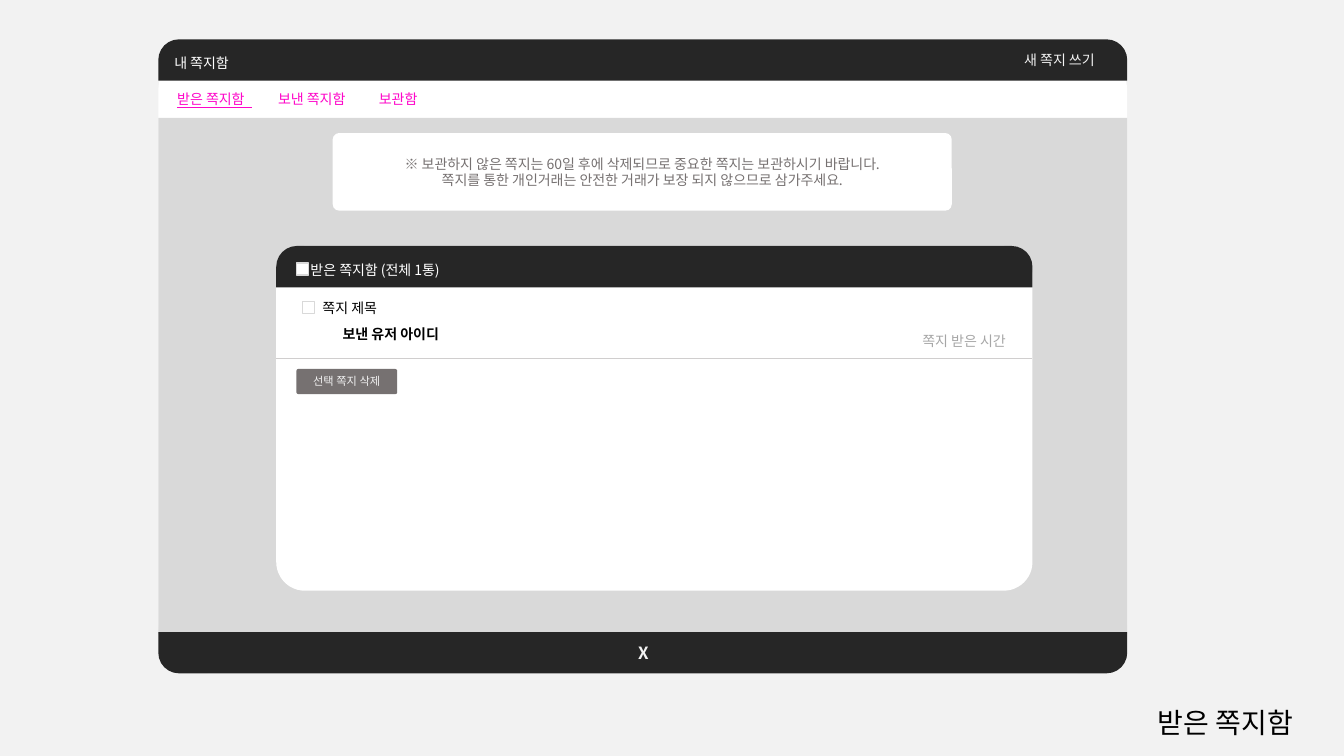
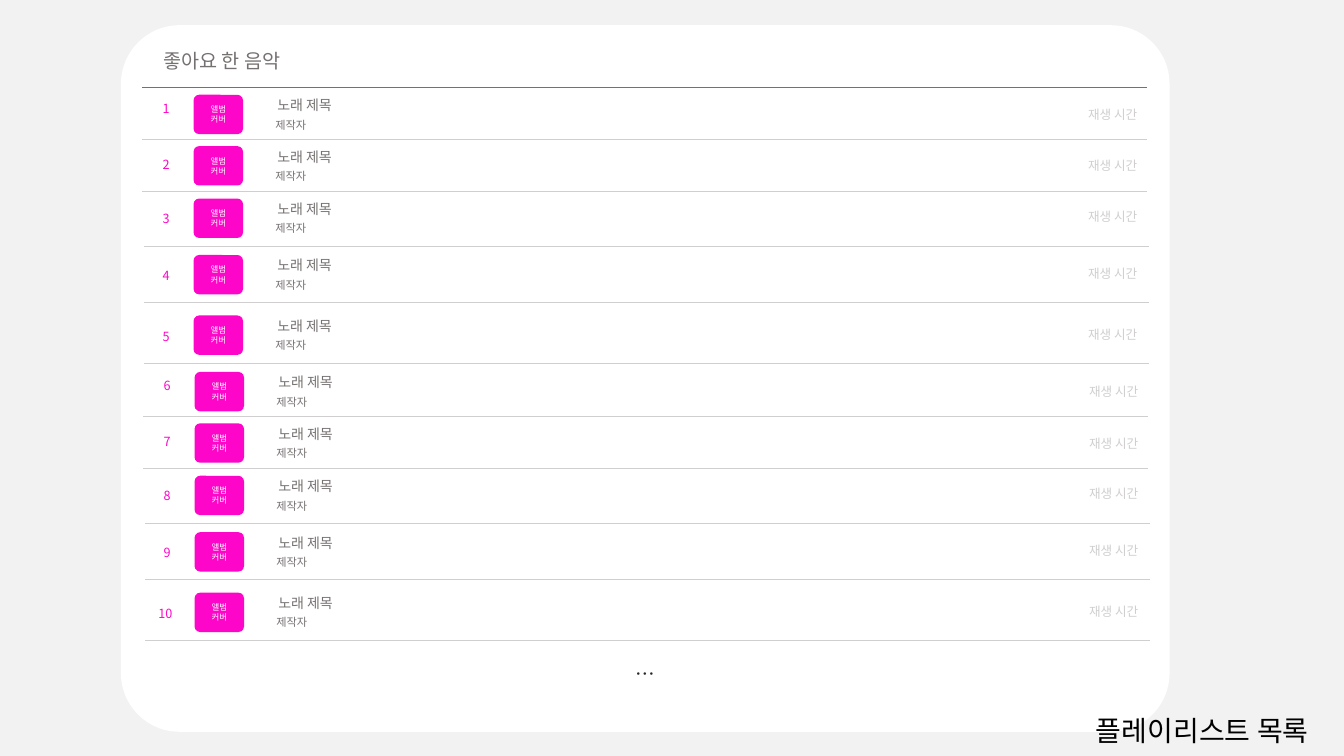
from dataclasses import dataclass
from typing import NamedTuple, Optional

import pptx
import pptx.dml.color
import pptx.enum.shapes
import pptx.enum.text
import pptx.oxml
import pptx.oxml.ns
import pptx.presentation
import pptx.shapes.autoshape
import pptx.slide
import pptx.text.text
import pptx.util

Inches = pptx.util.Inches
Pt = pptx.util.Pt
Slide = pptx.slide.Slide
Kind = pptx.enum.shapes.MSO_SHAPE
Align = pptx.enum.text.PP_ALIGN
Anchor = pptx.enum.text.MSO_ANCHOR
Fit = pptx.enum.text.MSO_AUTO_SIZE


# Shared look
@dataclass(frozen=True)
class Theme:
    font: str = "Noto Sans CJK KR"
    page: str = "F2F2F2"
    white: str = "FFFFFF"
    black: str = "000000"
    dark: str = "262626"
    gray: str = "767171"
    silver: str = "D9D9D9"
    pale: str = "A6A6A6"
    rule: str = "D0CECE"
    pink: str = "FE06C9"
    title: float = 20
    head: float = 14
    close: float = 12
    body: float = 10
    label: float = 9
    small: float = 8
    tiny: float = 6
    hair: float = 0.5
    curve: float = 0.083


THEME = Theme()


class Box(NamedTuple):
    left: float
    top: float
    width: float
    height: float


@dataclass(frozen=True)
class Type:
    size: float
    color: str
    bold: bool = False
    align: Align = Align.LEFT


@dataclass(frozen=True)
class Label:
    box: Box
    text: str
    style: Type


@dataclass(frozen=True)
class Song:
    cover: float
    number: float
    time: float
    rule: float
    edge: float


# Drawing helpers
def tint(color: str) -> pptx.dml.color.RGBColor:
    return pptx.dml.color.RGBColor.from_string(color)


def write(frame: pptx.text.text.TextFrame, text: str, style: Type) -> None:
    frame.word_wrap = True
    look = {"name": THEME.font, "size": Pt(style.size), "bold": style.bold}
    for index, line in enumerate(text.split("\n")):
        para = frame.add_paragraph() if index else frame.paragraphs[0]
        para.alignment = style.align
        run = para.add_run()
        run.text = line
        for key, value in look.items():
            setattr(run.font, key, value)
        run.font.color.rgb = tint(style.color)
        east = pptx.oxml.parse_xml(
            f'<a:ea {pptx.oxml.ns.nsdecls("a")} typeface="{THEME.font}"/>')
        run.font._element.append(east)


def draw_text(slide: Slide, label: Label) -> None:
    shape = slide.shapes.add_textbox(*map(Inches, label.box))
    write(shape.text_frame, label.text, label.style)
    shape.text_frame.auto_size = Fit.SHAPE_TO_FIT_TEXT


def draw_shape(slide: Slide, kind: Kind, box: Box, fill: str,
               curves: tuple[float, ...] = (),
               line: Optional[str] = None) -> pptx.shapes.autoshape.Shape:
    shape = slide.shapes.add_shape(kind, *map(Inches, box))
    shape.shadow.inherit = False
    shape.fill.solid()
    shape.fill.fore_color.rgb = tint(fill)
    for index, value in enumerate(curves):
        shape.adjustments[index] = value
    if line:
        shape.line.color.rgb = tint(line)
        shape.line.width = Pt(1)
    else:
        shape.line.fill.background()
    return shape


def draw_card(slide: Slide, box: Box, fill: str, curve: float = THEME.curve,
              text: str = "", style: Optional[Type] = None
              ) -> pptx.shapes.autoshape.Shape:
    shape = draw_shape(slide, Kind.ROUNDED_RECTANGLE, box, fill, (curve,))
    if style:
        write(shape.text_frame, text, style)
        shape.text_frame.vertical_anchor = Anchor.MIDDLE
    return shape


def draw_band(slide: Slide, box: Box, curves: tuple[float, float],
              text: str = "", inset: float = 0.1) -> None:
    shape = draw_shape(slide, Kind.ROUND_2_SAME_RECTANGLE, box, THEME.dark, curves)
    if text:
        frame = shape.text_frame
        write(frame, text, Type(THEME.body, THEME.white))
        frame.vertical_anchor = Anchor.MIDDLE
        frame.margin_left = Inches(inset)


def draw_rule(slide: Slide, left: float, top: float, width: float, color: str) -> None:
    line = slide.shapes.add_connector(
        pptx.enum.shapes.MSO_CONNECTOR.STRAIGHT,
        *map(Inches, (left, top, left + width, top)))
    line.line.color.rgb = tint(color)
    line.line.width = Pt(THEME.hair)
    line._element.spPr.append(pptx.oxml.parse_xml(
        f'<a:effectLst {pptx.oxml.ns.nsdecls("a")}/>'))


def add_page(deck: pptx.presentation.Presentation) -> Slide:
    slide = deck.slides.add_slide(deck.slide_layouts[6])
    slide.background.fill.solid()
    slide.background.fill.fore_color.rgb = tint(THEME.page)
    return slide


def draw_title(slide: Slide, box: Box, text: str) -> None:
    draw_text(slide, Label(box, text, Type(THEME.title, THEME.black, align=Align.CENTER)))


# Inbox slide
def build_inbox(deck: pptx.presentation.Presentation) -> None:
    slide = add_page(deck)
    left, width, band = 1.57, 9.61, 0.41
    inner, span, top = 2.74, 7.5, 2.44
    mid = Align.CENTER
    draw_title(slide, Box(10.7, 6.95, 2.91, 0.44), "받은 쪽지함")

    # Window
    draw_card(slide, Box(left, 0.39, width, 6.29), THEME.white)
    draw_band(slide, Box(left, 0.39, width, band), (0.5, 0), "내 쪽지함")
    draw_card(slide, Box(left, 1.17, width, 5.12), THEME.silver, 0)
    draw_card(slide, Box(3.3, 1.32, 6.14, 0.77), THEME.white,
              text="※ 보관하지 않은 쪽지는 60일 후에 삭제되므로 중요한 쪽지는 보관하시기 바랍니다.\n"
                   "쪽지를 통한 개인거래는 안전한 거래가 보장 되지 않으므로 삼가주세요.",
              style=Type(THEME.body, THEME.gray, align=mid))
    draw_band(slide, Box(left, 6.27, width, band), (0, 0.5))

    # Message list
    draw_card(slide, Box(inner, top, span, 3.42), THEME.white)
    draw_band(slide, Box(inner, top, span, band), (0.5, 0),
              "받은 쪽지함 (전체 1통)", 0.28)
    draw_rule(slide, inner, 3.56, span, THEME.rule)
    for x, y in ((2.94, 2.61), (3, 2.99)):
        draw_shape(slide, Kind.RECTANGLE, Box(x, y, 0.12, 0.12), THEME.white,
                   line=THEME.silver)
    draw_card(slide, Box(2.94, 3.66, 1, 0.25), THEME.gray, text="선택 쪽지 삭제",
              style=Type(THEME.small, THEME.page, align=mid))

    # Labels
    draw_rule(slide, 1.76, 1.07, 0.74, THEME.pink)
    size = THEME.body
    for label in (
        Label(Box(1.66, 0.85, 6, 0.27), "받은 쪽지함\t보낸 쪽지함\t보관함",
              Type(size, THEME.pink)),
        Label(Box(10.06, 0.46, 1.29, 0.27), "새 쪽지 쓰기", Type(size, THEME.page)),
        Label(Box(3.1, 2.92, 0.85, 0.27), "쪽지 제목", Type(size, THEME.black)),
        Label(Box(3.3, 3.18, 1.37, 0.27), "보낸 유저 아이디",
              Type(size, THEME.black, True)),
        Label(Box(9.05, 3.25, 1.25, 0.27), "쪽지 받은 시간", Type(size, THEME.pale)),
        Label(Box(6.23, 6.33, 0.28, 0.3), "X", Type(THEME.close, THEME.page, True)),
    ):
        draw_text(slide, label)


# Playlist slide: two blocks of five songs
SONGS = (
    Song(0.94, 0.95, 1.01, 1.38, 1.41),
    Song(1.45, 1.51, 1.52, 1.9, 1.41),
    Song(1.97, 2.04, 2.02, 2.44, 1.43),
    Song(2.53, 2.61, 2.59, 3, 1.43),
    Song(3.13, 3.21, 3.19, 3.6, 1.43),
)
BLOCK = (0.01, 2.75)
SPAN = 9.97


def draw_song(slide: Slide, song: Song, rank: int, dx: float, dy: float) -> None:
    mid = Align.CENTER
    cover, top = 1.92 + dx, song.cover + dy
    wide = 0.38 if rank > 9 else 0.23
    draw_rule(slide, song.edge + dx, song.rule + dy, SPAN, THEME.rule)
    draw_card(slide, Box(cover, top, 0.49, 0.39), THEME.pink, 0.14,
              "앨범 커버", Type(THEME.tiny, THEME.white, align=mid))
    for box, text, size, color in (
        (Box(1.63 + dx - wide / 2, song.number + dy, wide, 0.25),
         str(rank), THEME.label, THEME.pink),
        (Box(cover + 0.66, top - 0.03, 0.88, 0.27), "노래 제목", THEME.body, THEME.gray),
        (Box(cover + 0.63, top + 0.18, 0.67, 0.24), "제작자", THEME.small, THEME.gray),
        (Box(10.66 + dx, song.time + dy, 0.75, 0.25),
         "재생 시간", THEME.label, THEME.rule),
    ):
        draw_text(slide, Label(box, text, Type(size, color, align=mid)))


def build_list(deck: pptx.presentation.Presentation) -> None:
    slide = add_page(deck)
    mid = Align.CENTER
    panel = draw_card(slide, Box(1.2, 0.25, 10.4, 7.01), THEME.white, text="…",
                      style=Type(THEME.head, THEME.dark, align=mid))
    panel.text_frame.vertical_anchor = Anchor.BOTTOM
    panel.text_frame.margin_bottom = Inches(0.29)
    draw_rule(slide, 1.41, 0.87, SPAN, THEME.gray)
    draw_text(slide, Label(Box(1.3, 0.44, 1.8, 0.35), "좋아요 한 음악",
                           Type(THEME.head, THEME.gray, align=mid)))
    draw_title(slide, Box(10.32, 7.03, 3.21, 0.44), "플레이리스트 목록")
    for index in range(2 * len(SONGS)):
        block, row = divmod(index, len(SONGS))
        draw_song(slide, SONGS[row], index + 1, block * BLOCK[0], block * BLOCK[1])


def main() -> None:
    deck = pptx.Presentation()
    deck.slide_width, deck.slide_height = Inches(13.33), Inches(7.5)
    build_inbox(deck)
    build_list(deck)
    deck.save("out.pptx")


if __name__ == "__main__":
    main()
